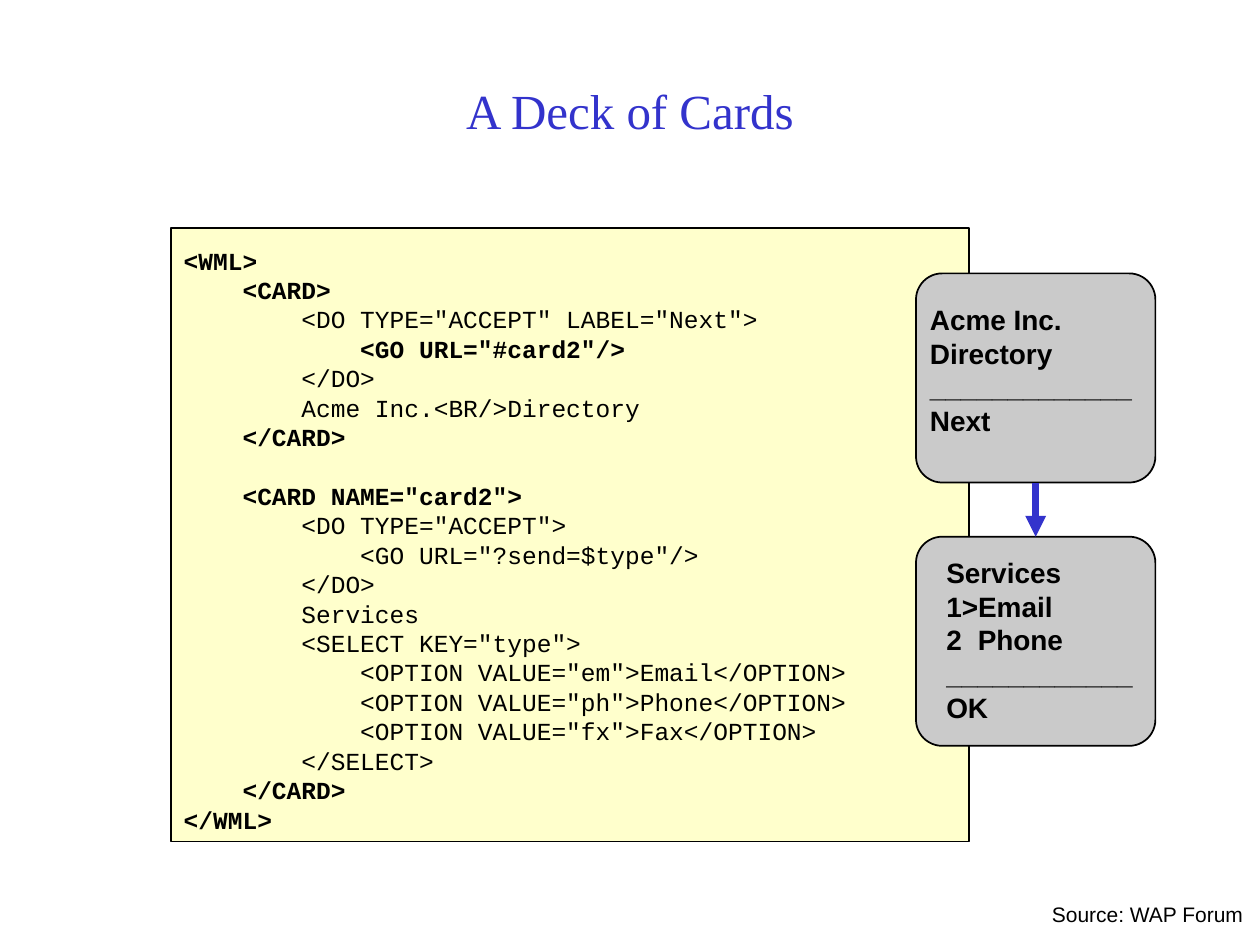
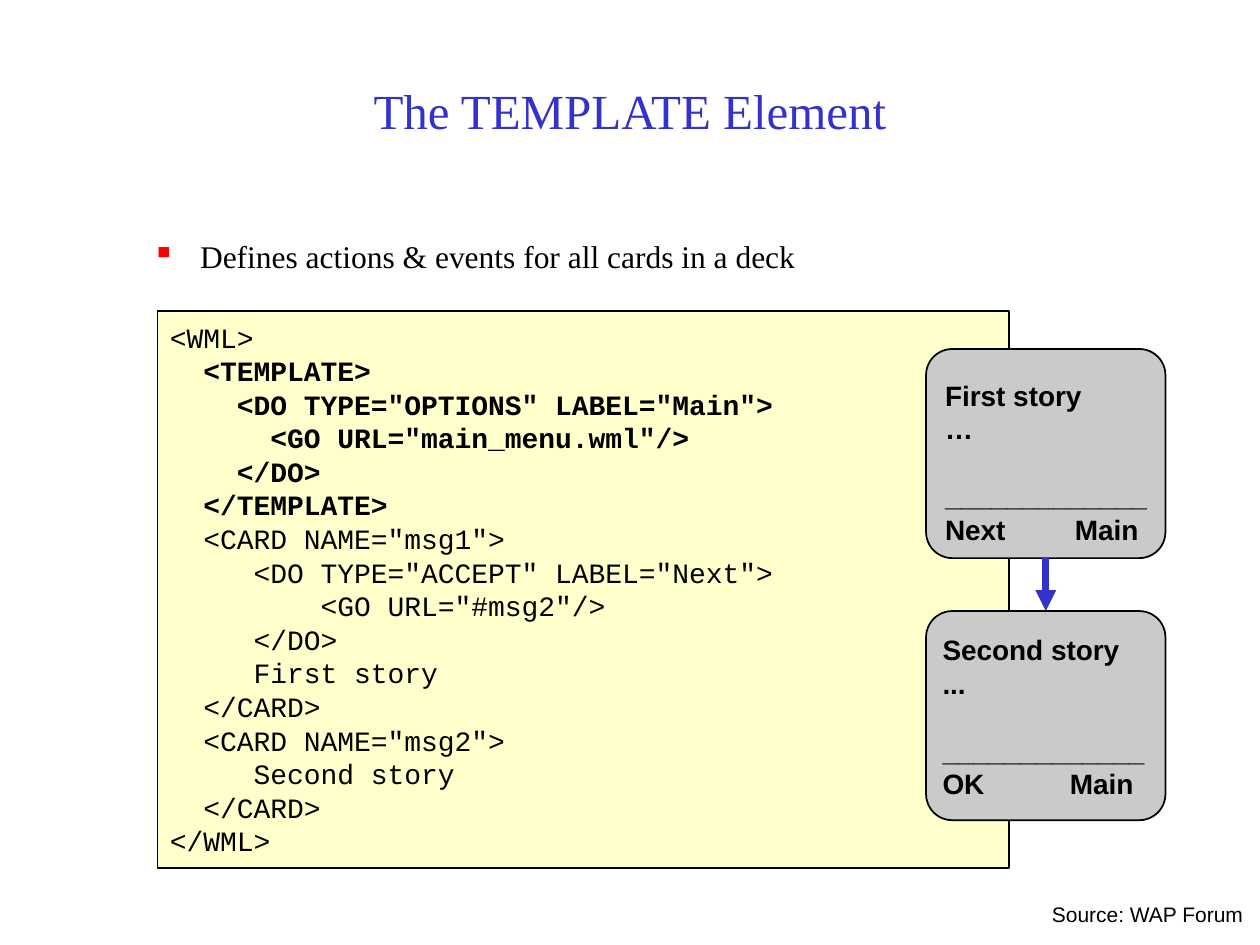
from lxml.etree import SubElement
from pptx import Presentation
from pptx.dml.color import RGBColor
from pptx.enum.shapes import MSO_CONNECTOR, MSO_SHAPE
from pptx.enum.text import MSO_ANCHOR, PP_ALIGN
from pptx.oxml.ns import qn
from pptx.util import Inches, Pt

BLUE = "3333CC"
BLACK = "000000"
CREAM = "FFFFCC"
GRAY = "CACACA"
RED = "FF0000"
SERIF = "Times New Roman"
SANS = "Arial"
MONO = "Courier New"
LINE_HEIGHT = 1.2

presentation = Presentation()
presentation.slide_width = Inches(10)
presentation.slide_height = Inches(7.5)
COLUMN = presentation.slide_width / 100
ROW = presentation.slide_height / 75

DECK_CODE = """<WML>
    <CARD>
        <DO TYPE="ACCEPT" LABEL="Next">
            <GO URL="#card2"/>
        </DO>
        Acme Inc.<BR/>Directory
    </CARD>

    <CARD NAME="card2">
        <DO TYPE="ACCEPT">
            <GO URL="?send=$type"/>
        </DO>
        Services
        <SELECT KEY="type">
            <OPTION VALUE="em">Email</OPTION>
            <OPTION VALUE="ph">Phone</OPTION>
            <OPTION VALUE="fx">Fax</OPTION>
        </SELECT>
    </CARD>
</WML>"""

TEMPLATE_CODE = """<WML>
  <TEMPLATE>
    <DO TYPE="OPTIONS" LABEL="Main">
      <GO URL="main_menu.wml"/>
    </DO>
  </TEMPLATE>
  <CARD NAME="msg1">
     <DO TYPE="ACCEPT" LABEL="Next">
         <GO URL="#msg2"/>
     </DO>
     First story
  </CARD>
  <CARD NAME="msg2">
     Second story
  </CARD>
</WML>"""

SLIDES = [
    {
        "title": "A Deck of Cards",
        "bullet": None,
        "code": DECK_CODE,
        "code_box": (13.6, 18.1, 63.3, 48.7),
        "code_size": 14,
        "code_top": 1.4,
        "bold_lines": (0, 1, 3, 6, 8, 18, 19),
        "phone_left": 72.7,
        "phone_tops": (21.7, 42.6),
        "screens": [
            ("Acme Inc.\nDirectory\n_____________\nNext", 0.5, 1.7, None),
            ("Services\n1>Email\n2\tPhone\n____________\nOK", 1.8, 0.9, 2.5),
        ],
    },
    {
        "title": "The TEMPLATE Element",
        "bullet": "Defines actions & events for all cards in a deck",
        "code": TEMPLATE_CODE,
        "code_box": (12.5, 24.7, 67.6, 44.2),
        "code_size": 16,
        "code_top": 0.7,
        "bold_lines": range(1, 6),
        "phone_left": 73.5,
        "phone_tops": (27.7, 48.5),
        "screens": [
            ("First story\n…\n\n_____________\nNext\tMain", 0.9, 1.7, 10.3),
            ("Second story\n...\n\n_____________\nOK\tMain", 0.7, 1.1, 10.1),
        ],
    },
]


def color(hex_value):
    return RGBColor.from_string(hex_value)


def write_text(shape, text, *, font, size, text_color=BLACK, bold_lines=(),
               align=PP_ALIGN.LEFT, anchor=MSO_ANCHOR.TOP, left=1, top=0.5,
               right=1, bullet=None, tab=None):
    frame = shape.text_frame
    frame.word_wrap = True
    frame.vertical_anchor = anchor
    frame.margin_left, frame.margin_right = int(left * COLUMN), int(right * COLUMN)
    frame.margin_top, frame.margin_bottom = int(top * ROW), 0
    if anchor == MSO_ANCHOR.MIDDLE:
        frame.margin_bottom = frame.margin_top
    pitch = Pt(size * LINE_HEIGHT)
    gap = 0
    for index, line in enumerate(text.split("\n")):
        if not line:
            gap += pitch
            continue
        paragraph = frame.add_paragraph() if index else frame.paragraphs[0]
        properties = paragraph._p.get_or_add_pPr()
        if bullet:
            indent = int(3.8 * COLUMN)
            properties.set("marL", str(indent))
            properties.set("indent", str(-indent))
            bullet_color = SubElement(properties, qn("a:buClr"))
            SubElement(bullet_color, qn("a:srgbClr"), val=RED)
            SubElement(properties, qn("a:buChar"), char=bullet)
        if tab:
            tab_list = SubElement(properties, qn("a:tabLst"))
            SubElement(tab_list, qn("a:tab"), pos=str(int(tab * COLUMN)), algn="l")
        paragraph.alignment = align
        paragraph.line_spacing = pitch
        if gap:
            paragraph.space_before = gap
            gap = 0
        run = paragraph.add_run()
        run.text = line
        run.font.name = font
        run.font.size = Pt(size)
        run.font.bold = index in bold_lines
        run.font.color.rgb = color(text_color)


for content in SLIDES:
    slide = presentation.slides.add_slide(presentation.slide_layouts[6])

    labels = [
        ((7.5, 2.5, 85, 12.5), content["title"],
         dict(font=SERIF, size=28, text_color=BLUE, align=PP_ALIGN.CENTER,
              anchor=MSO_ANCHOR.MIDDLE)),
        ((82.5, 71.1, 17.5, 3), "Source: WAP Forum", dict(font=SANS, size=12, right=0)),
    ]
    if content["bullet"]:
        labels.append(((11.1, 18.3, 84.3, 5), content["bullet"],
                       dict(font=SERIF, size=18, bullet="▪")))
    for (left, top, width, height), text, text_format in labels:
        label = slide.shapes.add_textbox(
            int(left * COLUMN), int(top * ROW), int(width * COLUMN), int(height * ROW))
        write_text(label, text, **text_format)

    panels = [
        (MSO_SHAPE.RECTANGLE, CREAM, content["code_box"], content["code"],
         dict(font=MONO, size=content["code_size"], top=content["code_top"],
              bold_lines=content["bold_lines"])),
    ]
    for phone_top, (text, left, top, tab) in zip(content["phone_tops"], content["screens"]):
        panels.append((
            MSO_SHAPE.ROUNDED_RECTANGLE, GRAY,
            (content["phone_left"], phone_top, 19, 16.6), text,
            dict(font=SANS, size=16, left=left, top=top, right=0, tab=tab,
                 bold_lines=range(5))))

    shapes = []
    for kind, fill, (left, top, width, height), text, text_format in panels:
        shape = slide.shapes.add_shape(
            kind, int(left * COLUMN), int(top * ROW), int(width * COLUMN), int(height * ROW))
        shape.shadow.inherit = False
        shape.fill.solid()
        shape.fill.fore_color.rgb = color(fill)
        shape.line.color.rgb = color(BLACK)
        shape.line.width = Pt(1)
        if kind == MSO_SHAPE.ROUNDED_RECTANGLE:
            shape.adjustments[0] = 0.125
        write_text(shape, text, **text_format)
        shapes.append(shape)

    code_panel, first_phone, second_phone = shapes
    arrow = slide.shapes.add_connector(MSO_CONNECTOR.STRAIGHT, 0, 0, 0, 0)
    arrow.begin_connect(first_phone, 2)
    arrow.end_connect(second_phone, 0)
    arrow.line.color.rgb = color(BLUE)
    arrow.line.width = Pt(4)
    SubElement(arrow.line._get_or_add_ln(), qn("a:tailEnd"), type="triangle")
    SubElement(arrow._element.spPr, qn("a:effectLst"))

presentation.save("out.pptx")
